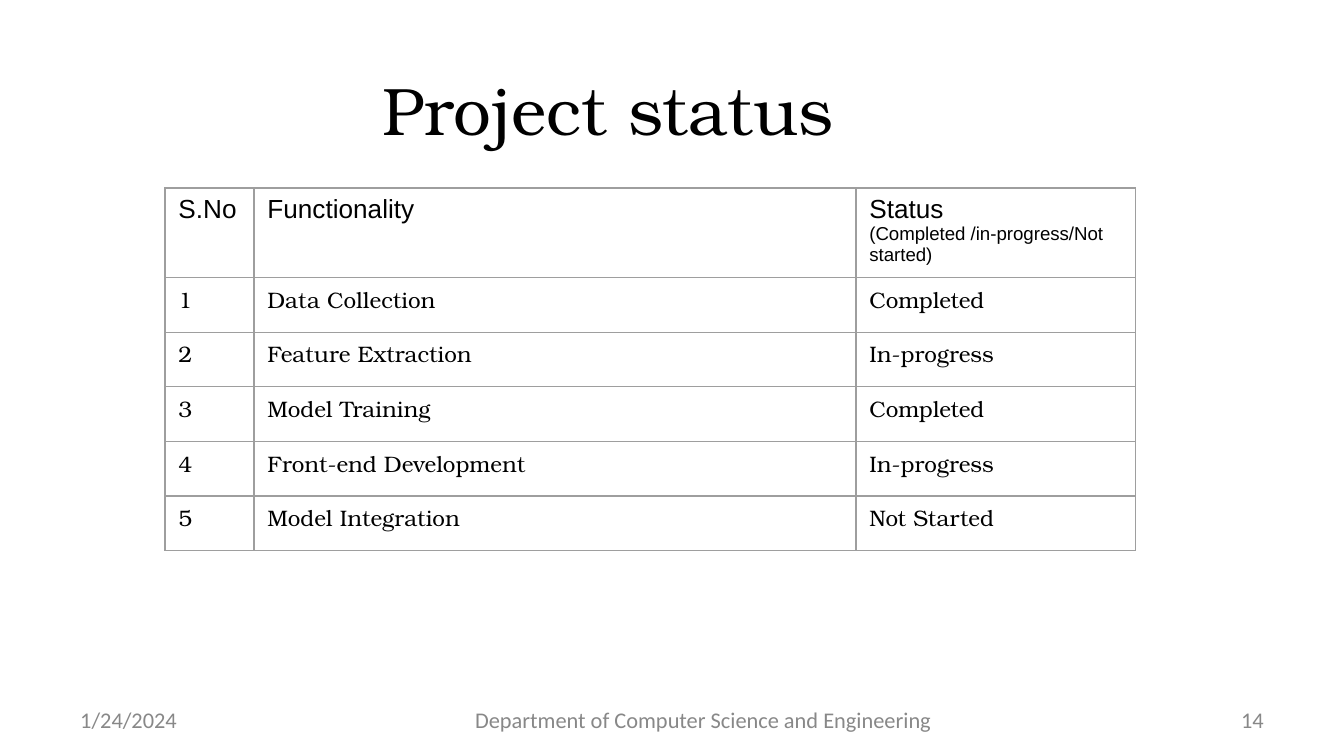
from lxml.etree import SubElement
from pptx import Presentation
from pptx.dml.color import RGBColor
from pptx.enum.text import MSO_ANCHOR, PP_ALIGN
from pptx.oxml.ns import qn
from pptx.util import Pt

EMU_PER_PX = 914400 / 134.4
SLIDE_SIZE = (1344, 756)

SERIF = {"name": "TeX Gyre Bonum", "color": "000000"}
SANS = {"name": "Arial", "color": "000000"}
TITLE = {**SERIF, "size": 36}
HEADER = {**SANS, "size": 14}
HEADER_NOTE = {**SANS, "size": 10}
BODY = {**SERIF, "size": 12}
FOOTER = {"name": "Calibri", "color": "888888", "size": 12}

TEXT_BOXES = [
    ("Project status", (159, 62, 899, 93), TITLE, PP_ALIGN.CENTER),
    ("1/24/2024", (67, 700, 313, 40), FOOTER, PP_ALIGN.LEFT),
    ("Department of Computer Science and Engineering", (460, 700, 487, 40), FOOTER, PP_ALIGN.CENTER),
    ("14", (964, 700, 313, 40), FOOTER, PP_ALIGN.RIGHT),
]

HEADINGS = ["S.No", "Functionality", "Status"]
STATUS_NOTE = "(Completed /in-progress/Not started)"
TASKS = [
    ("Data Collection", "Completed"),
    ("Feature Extraction", "In-progress"),
    ("Model Training", "Completed"),
    ("Front-end Development", "In-progress"),
    ("Model Integration", "Not Started"),
]
TABLE_LEFT, TABLE_TOP = 165, 188
COLUMN_WIDTHS = [89, 602, 280]
HEADER_HEIGHT, BODY_HEIGHT = 84, 273
BORDER_COLOR, BORDER_WIDTH = "9E9E9E", 0.75


def px(length):
    return round(length * EMU_PER_PX)


def rgb(value):
    return RGBColor.from_string(value)


def write(paragraph, text, style, alignment=PP_ALIGN.LEFT):
    paragraph.alignment = alignment
    run = paragraph.add_run()
    run.text = text
    values = {"name": style["name"], "size": Pt(style["size"]), "bold": False}
    for attribute, value in values.items():
        setattr(run.font, attribute, value)
    run.font.color.rgb = rgb(style["color"])


def add_text_box(slide, text, box, style, alignment):
    frame = slide.shapes.add_textbox(*map(px, box)).text_frame
    frame.word_wrap = True
    frame.vertical_anchor = MSO_ANCHOR.MIDDLE
    write(frame.paragraphs[0], text, style, alignment)


def add_borders(cell):
    properties = cell._tc.get_or_add_tcPr()
    for position, side in enumerate(("a:lnL", "a:lnR", "a:lnT", "a:lnB")):
        line = SubElement(properties, qn(side), w=str(Pt(BORDER_WIDTH)))
        fill = SubElement(line, qn("a:solidFill"))
        SubElement(fill, qn("a:srgbClr"), val=BORDER_COLOR)
        properties.insert(position, line)


def add_status_table(slide):
    rows = [HEADINGS] + [(str(number), *task) for number, task in enumerate(TASKS, 1)]
    heights = [HEADER_HEIGHT] + [BODY_HEIGHT / len(TASKS)] * len(TASKS)
    box = (TABLE_LEFT, TABLE_TOP, sum(COLUMN_WIDTHS), sum(heights))
    table = slide.shapes.add_table(len(rows), len(HEADINGS), *map(px, box)).table
    table.first_row = table.horz_banding = False
    for column, width in zip(table.columns, COLUMN_WIDTHS):
        column.width = px(width)
    for row, height, texts in zip(table.rows, heights, rows):
        row.height = px(height)
        style = HEADER if texts is HEADINGS else BODY
        for cell, text in zip(row.cells, texts):
            cell.fill.background()
            add_borders(cell)
            write(cell.text_frame.paragraphs[0], text, style)
    write(table.cell(0, 2).text_frame.add_paragraph(), STATUS_NOTE, HEADER_NOTE)


def main():
    presentation = Presentation()
    presentation.slide_width, presentation.slide_height = map(px, SLIDE_SIZE)
    slide = presentation.slides.add_slide(presentation.slide_layouts[6])
    for text_box in TEXT_BOXES:
        add_text_box(slide, *text_box)
    add_status_table(slide)
    presentation.save("out.pptx")


if __name__ == "__main__":
    main()
